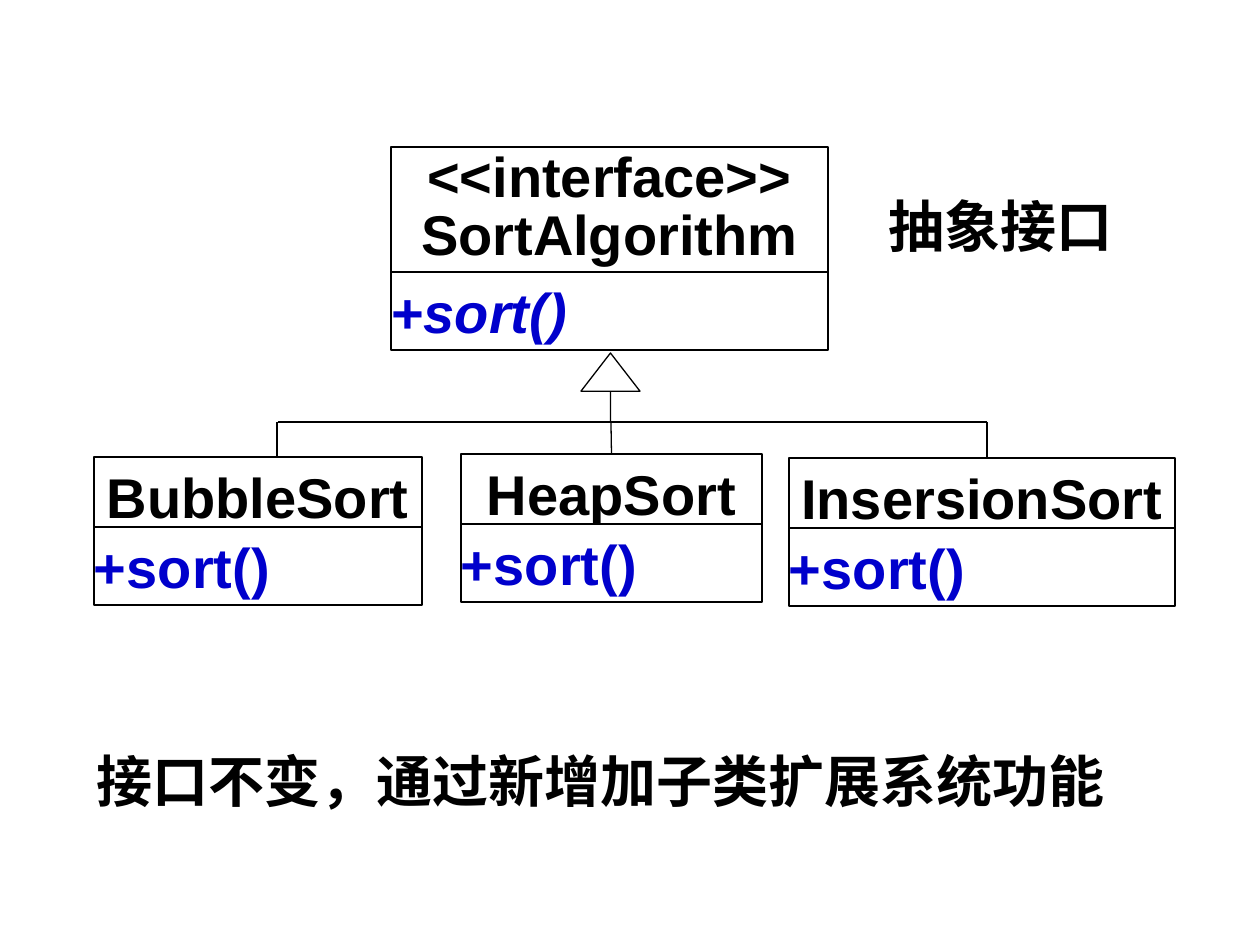
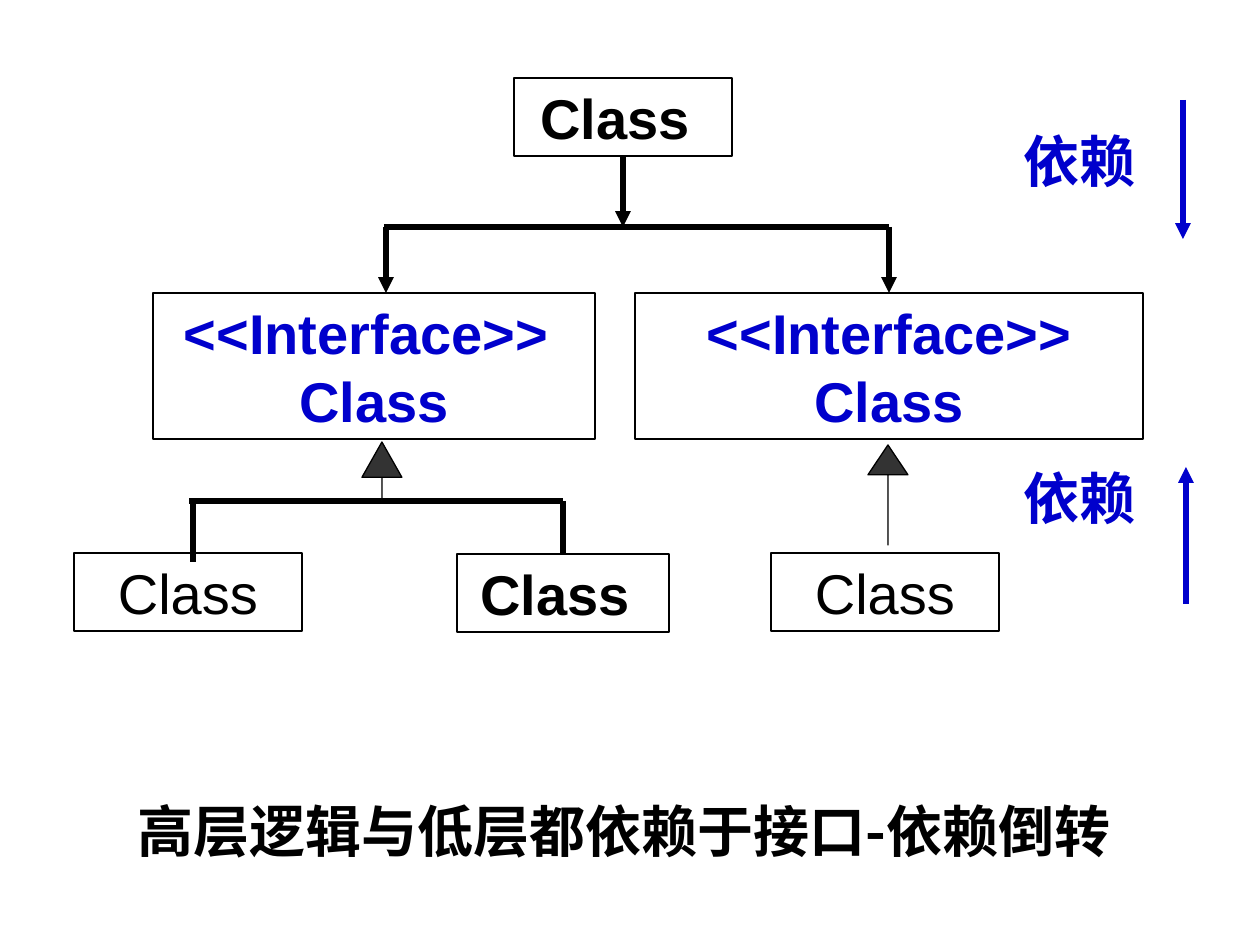
from lxml.etree import SubElement
from pptx import Presentation
from pptx.dml.color import RGBColor
from pptx.enum.shapes import MSO_CONNECTOR, MSO_SHAPE
from pptx.enum.text import MSO_ANCHOR, MSO_AUTO_SIZE, PP_ALIGN
from pptx.oxml.ns import qn
from pptx.util import Emu, Pt

PX_PER_INCH = 126
BLACK = RGBColor(0x00, 0x00, 0x00)
WHITE = RGBColor(0xFF, 0xFF, 0xFF)
BLUE = RGBColor(0x00, 0x00, 0xCC)
CHARCOAL = RGBColor(0x33, 0x33, 0x33)
LATIN_FONT = "Arial"
CHINESE_FONT = "Noto Sans CJK SC"
TEXT_SIZE = Pt(32)
TOP, BOTTOM = 0, 2
BOX_HEIGHT = 78


def px(length):
    """Convert pixels to EMU."""
    return Emu(round(length * 914400 / PX_PER_INCH))


def write(frame, lines, font_name, color=BLACK, bold=True, italic=False,
          align=PP_ALIGN.LEFT, spacing=None):
    """Fill a text frame with one uniformly styled paragraph per line."""
    frame.word_wrap = True
    frame.auto_size = MSO_AUTO_SIZE.NONE
    frame.vertical_anchor = MSO_ANCHOR.MIDDLE
    frame.text = "\n".join(lines)
    for paragraph in frame.paragraphs:
        paragraph.alignment = align
        if spacing:
            paragraph.line_spacing = spacing
        font = paragraph.font
        font.name, font.size = font_name, TEXT_SIZE
        font.bold, font.italic = bold, italic
        font.color.rgb = color
        if font_name == CHINESE_FONT:
            defaults = paragraph._p.pPr.find(qn("a:defRPr"))
            SubElement(defaults, qn("a:ea"), typeface=font_name)


def add_box(slide, bounds, lines, inset=(0, 4), border=1, align=PP_ALIGN.CENTER, **style):
    """Add a white outlined UML compartment."""
    box = slide.shapes.add_shape(MSO_SHAPE.RECTANGLE, *map(px, bounds))
    box.shadow.inherit = False
    box.fill.solid()
    box.fill.fore_color.rgb = WHITE
    box.line.color.rgb = BLACK
    box.line.width = Pt(border)
    frame = box.text_frame
    frame.margin_left = frame.margin_right = px(inset[0])
    frame.margin_top = frame.margin_bottom = px(inset[1])
    write(frame, lines, LATIN_FONT, align=align, **style)
    return box


def add_uml_class(slide, header_bounds, operations_bounds, names, italic=False, spacing=None):
    """Add a class as a name compartment above its sort operation."""
    header = add_box(slide, header_bounds, names, spacing=spacing)
    add_box(slide, operations_bounds, ["+sort()"], align=PP_ALIGN.LEFT,
            color=BLUE, italic=italic)
    return header


def add_line(slide, start, end, width=3, color=BLACK, arrow=False, source=None, target=None):
    """Add a straight line, joined below source or above target when given."""
    line = slide.shapes.add_connector(MSO_CONNECTOR.STRAIGHT, *map(px, start + end))
    SubElement(line._element.spPr, qn("a:effectLst"))
    line.line.color.rgb = color
    line.line.width = Pt(width)
    if arrow:
        SubElement(line.line._get_or_add_ln(), qn("a:tailEnd"), type="triangle")
    if source:
        line.begin_connect(source, BOTTOM)
    if target:
        line.end_connect(target, TOP)


def add_inheritance(slide, bounds, head_ratio, fill=None):
    """Add an inheritance arrow with a thin shaft."""
    arrow = slide.shapes.add_shape(MSO_SHAPE.UP_ARROW, *map(px, bounds))
    arrow.shadow.inherit = False
    arrow.adjustments[0] = 0
    arrow.adjustments[1] = head_ratio
    if fill is None:
        arrow.fill.background()
    else:
        arrow.fill.solid()
        arrow.fill.fore_color.rgb = fill
    arrow.line.color.rgb = BLACK
    arrow.line.width = Pt(0.75)


def add_label(slide, bounds, text, color=BLACK):
    """Add a Chinese side label."""
    label = slide.shapes.add_textbox(*map(px, bounds))
    write(label.text_frame, [text], CHINESE_FONT, color)


def add_caption(slide, bounds, text, align=PP_ALIGN.LEFT):
    """Place the title as the statement below the diagram."""
    caption = slide.shapes.title
    caption.left, caption.top, caption.width, caption.height = map(px, bounds)
    write(caption.text_frame, [text], CHINESE_FONT, align=align)


def build_sort_slide(slide):
    """Draw the sorting interface and its implementations."""
    bus_y = 422
    add_uml_class(slide, (391, 147, 437, 125), (391, 272, 437, BOX_HEIGHT),
                  ["<<interface>>", "SortAlgorithm"], italic=True, spacing=0.85)
    add_line(slide, (278, bus_y), (987, bus_y), 0.75)
    add_inheritance(slide, (581, 353, 59, 69), 0.647)

    implementations = [
        ("BubbleSort", 94, 457, 328, 527, 277, False),
        ("HeapSort", 461, 454, 301, 524, 611, True),
        ("InsersionSort", 789, 458, 386, 528, 987, False),
    ]
    for name, left, top, width, operations_top, branch_x, centred in implementations:
        header = add_uml_class(slide, (left, top, width, BOX_HEIGHT),
                               (left, operations_top, width, BOX_HEIGHT), [name])
        add_line(slide, (branch_x, bus_y), (branch_x, top), 0.75,
                 target=header if centred else None)

    add_label(slide, (876, 185, 260, 80), "抽象接口")
    add_caption(slide, (84, 740, 1052, 80), "接口不变，通过新增加子类扩展系统功能")


def build_dependency_slide(slide):
    """Draw high and low level classes depending on interfaces."""
    upper_bus_y, lower_bus_y = 227, 501
    narrow, wide = (2, 5), (9, 5)
    client = add_box(slide, (514, 78, 218, BOX_HEIGHT), ["Class "], narrow, 0.75)
    add_box(slide, (153, 293, 442, 146), ["<<Interface>> ", "Class"],
            narrow, 0.75, color=BLUE)
    right_interface = add_box(slide, (635, 293, 508, 146), ["<<Interface>>", "Class"],
                              narrow, 0.75, color=BLUE)
    add_box(slide, (74, 553, 228, BOX_HEIGHT), ["Class"], wide, 0.75, bold=False)
    middle_class = add_box(slide, (457, 554, 212, BOX_HEIGHT), ["Class "], wide, 0.75)
    add_box(slide, (771, 553, 228, BOX_HEIGHT), ["Class"], wide, 0.75, bold=False)

    add_line(slide, (384, upper_bus_y), (889, upper_bus_y))
    add_line(slide, (623, 157), (623, upper_bus_y), arrow=True, source=client)
    add_line(slide, (386, upper_bus_y), (386, 293), arrow=True)
    add_line(slide, (889, upper_bus_y), (889, 293), arrow=True, target=right_interface)
    add_line(slide, (189, lower_bus_y), (563, lower_bus_y))
    add_line(slide, (193, lower_bus_y), (193, 562))
    add_line(slide, (563, lower_bus_y), (563, 554), target=middle_class)
    add_inheritance(slide, (362, 442, 40, 59), 0.884, CHARCOAL)
    add_inheritance(slide, (868, 445, 40, 100), 0.745, CHARCOAL)

    for label_top, start, end in [(120, (1183, 100), (1183, 239)),
                                  (457, (1186, 604), (1186, 467))]:
        add_label(slide, (1011, label_top, 164, 80), "依赖", BLUE)
        add_line(slide, start, end, color=BLUE, arrow=True)
    add_caption(slide, (44, 790, 1160, 80), "高层逻辑与低层都依赖于接口-依赖倒转",
                PP_ALIGN.CENTER)


def main():
    """Build and save the presentation."""
    presentation = Presentation()
    presentation.slide_width, presentation.slide_height = px(1260), px(945)
    title_only = presentation.slide_layouts[5]
    for build in (build_sort_slide, build_dependency_slide):
        build(presentation.slides.add_slide(title_only))
    presentation.save("out.pptx")


if __name__ == "__main__":
    main()
